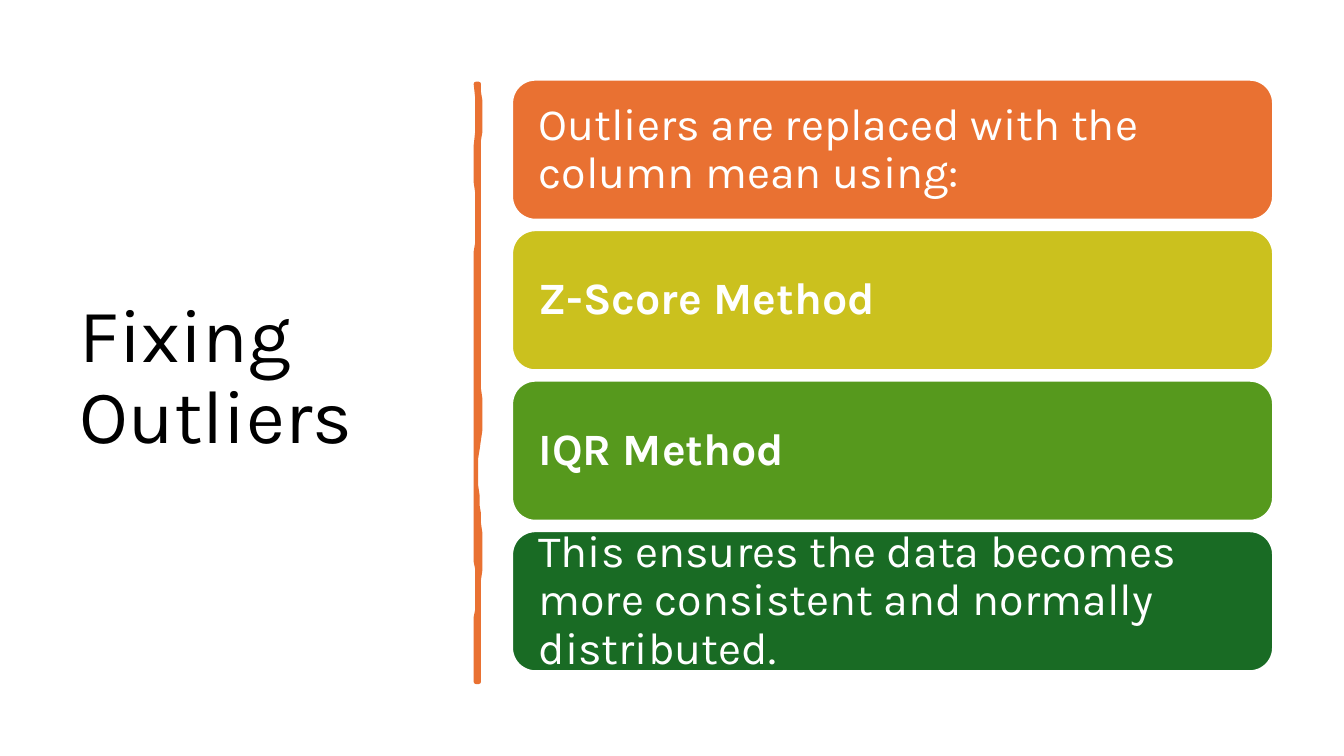
from dataclasses import dataclass

from lxml.etree import SubElement
from pptx import Presentation
from pptx.dml.color import RGBColor
from pptx.enum.shapes import MSO_SHAPE as Shape
from pptx.enum.text import MSO_ANCHOR as Anchor, MSO_AUTO_SIZE as AutoSize, PP_ALIGN as Align
from pptx.oxml.ns import qn
from pptx.util import Pt

FONT = "Karla"
ORANGE, WHITE, BLACK = "E97132", "FFFFFF", "000000"
CARD_LEFT, CARD_TOP, CARD_W, CARD_H, CARD_PITCH = 365.76, 56.9, 543.6, 100.1, 107.5
LINE_TOP = 60.5


@dataclass
class Card:
    text: str
    fill: str
    bold: bool = False


@dataclass
class Wave:
    """One stretch of a wavy edge: where it ends and how far its handles bulge."""
    end: float
    bulge1: float
    bulge2: float


CARDS = [
    Card("Outliers are replaced with the column mean using:", ORANGE),
    Card("Z-Score Method", "CBC11E", True),
    Card("IQR Method", "56991D", True),
    Card("This ensures the data becomes more consistent and normally distributed.", "196B24"),
]
RIGHT_EDGE = [
    Wave(105.1, 1.4, 1.4), Wave(162.7, -1.4, 0.7), Wave(211.7, -0.7, 0), Wave(256.3, -0.7, 1.4),
    Wave(313.9, -1.4, 2.9), Wave(367.2, -2.9, -2.2), Wave(420.5, 1.4, 1.4), Wave(486.7, -1.4, 0.7),
]
LEFT_EDGE = [
    Wave(441.4, 0.7, -1.4), Wave(401, 0.7, 0.7), Wave(343.4, -0.7, 0), Wave(298.8, 0, -1.4),
    Wave(241.2, 0.7, -0.7), Wave(180, 0.7, -0.7), Wave(130.3, 0.7, 1.4), Wave(LINE_TOP, -2.2, 2.9),
]


def rgb(color: str) -> RGBColor:
    return RGBColor.from_string(color)


def paint(sp, fill: str, line: str, width: float) -> None:
    sp.shadow.inherit = False
    sp.fill.solid()
    sp.fill.fore_color.rgb = rgb(fill)
    sp.line.color.rgb = rgb(line)
    sp.line.width = Pt(width)


def write(sp, text: str, size: float, color: str, bold: bool = False) -> None:
    tf = sp.text_frame
    tf.text = text
    tf.word_wrap = True
    tf.auto_size = AutoSize.NONE
    tf.vertical_anchor = Anchor.MIDDLE
    p = tf.paragraphs[0]
    p.alignment = Align.LEFT
    p.line_spacing = 0.9
    font = p.runs[0].font
    font.name, font.size, font.bold = FONT, Pt(size), bold
    font.color.rgb = rgb(color)


def edge_points(x: float, y: float, waves: list[Wave], steps: int = 8) -> list[tuple[float, float]]:
    points = [(x, y)]
    for w in waves:
        for i in range(1, steps + 1):
            t = i / steps
            bulge = 3 * t * (1 - t) * ((1 - t) * w.bulge1 + t * w.bulge2)
            points.append((x + bulge, y + t * (w.end - y)))
        y = w.end
    return points


def add_divider(s) -> None:
    points = edge_points(342, LINE_TOP, RIGHT_EDGE)
    points += edge_points(340.3, RIGHT_EDGE[-1].end, LEFT_EDGE)
    builder = s.shapes.build_freeform(*points[0], scale=Pt(1))
    builder.add_line_segments(points[1:], close=True)
    sp = builder.convert_to_shape()
    paint(sp, ORANGE, ORANGE, 3.25)
    SubElement(sp.line._get_or_add_ln(), qn("a:round"))


def add_card(s, card: Card, row: int) -> None:
    sp = s.shapes.add_shape(Shape.ROUNDED_RECTANGLE, Pt(CARD_LEFT), Pt(CARD_TOP + row * CARD_PITCH),
                            Pt(CARD_W), Pt(CARD_H))
    paint(sp, card.fill, WHITE, 1.5)
    write(sp, card.text, 32, WHITE, card.bold)
    tf = sp.text_frame
    tf.margin_left = tf.margin_right = Pt(14)
    tf.margin_top = tf.margin_bottom = Pt(0)


def main() -> None:
    prs = Presentation()
    prs.slide_width, prs.slide_height = Pt(960), Pt(540)
    s = prs.slides.add_slide(prs.slide_layouts[5])

    # Title
    title = s.shapes.title
    title.left, title.top, title.width, title.height = Pt(49.7), Pt(50.4), Pt(269.3), Pt(440)
    write(title, "Fixing Outliers", 54, BLACK)

    # Hand-drawn divider
    add_divider(s)

    # Cards
    for row, card in enumerate(CARDS):
        add_card(s, card, row)

    prs.save("out.pptx")


if __name__ == "__main__":
    main()
